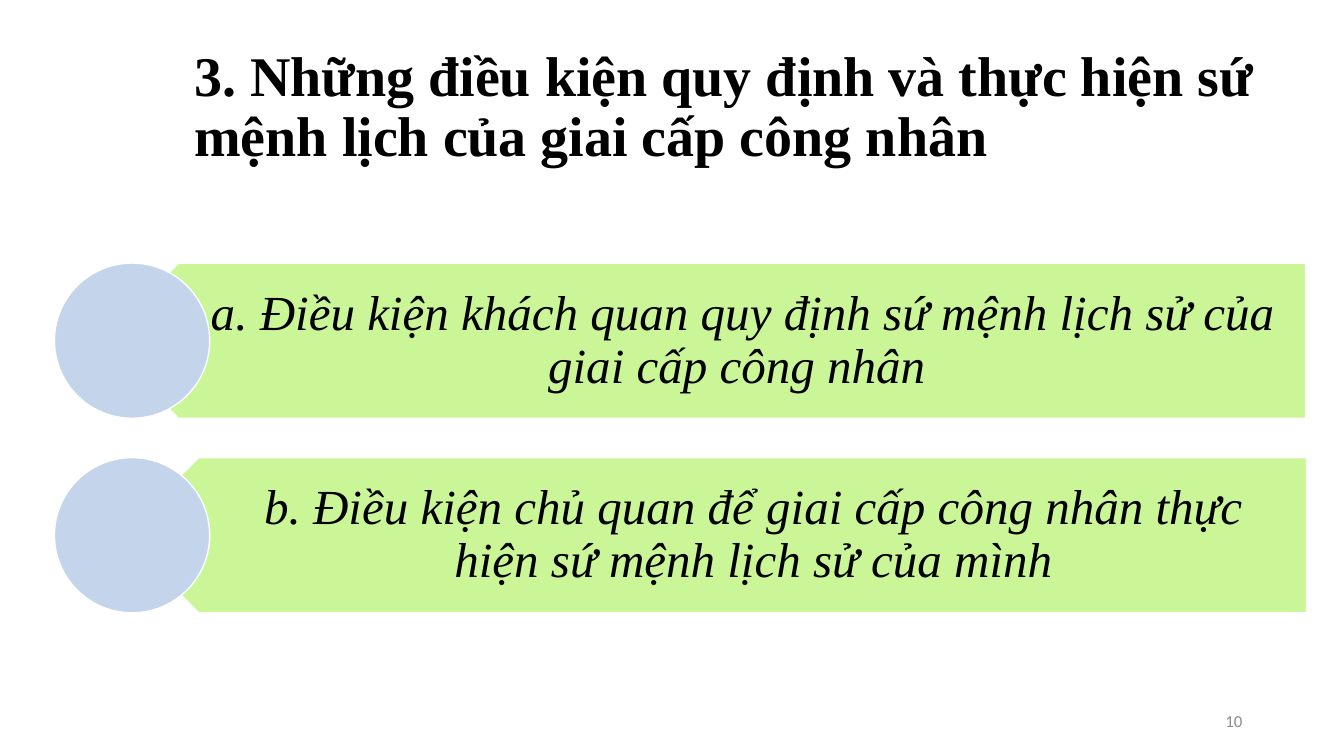
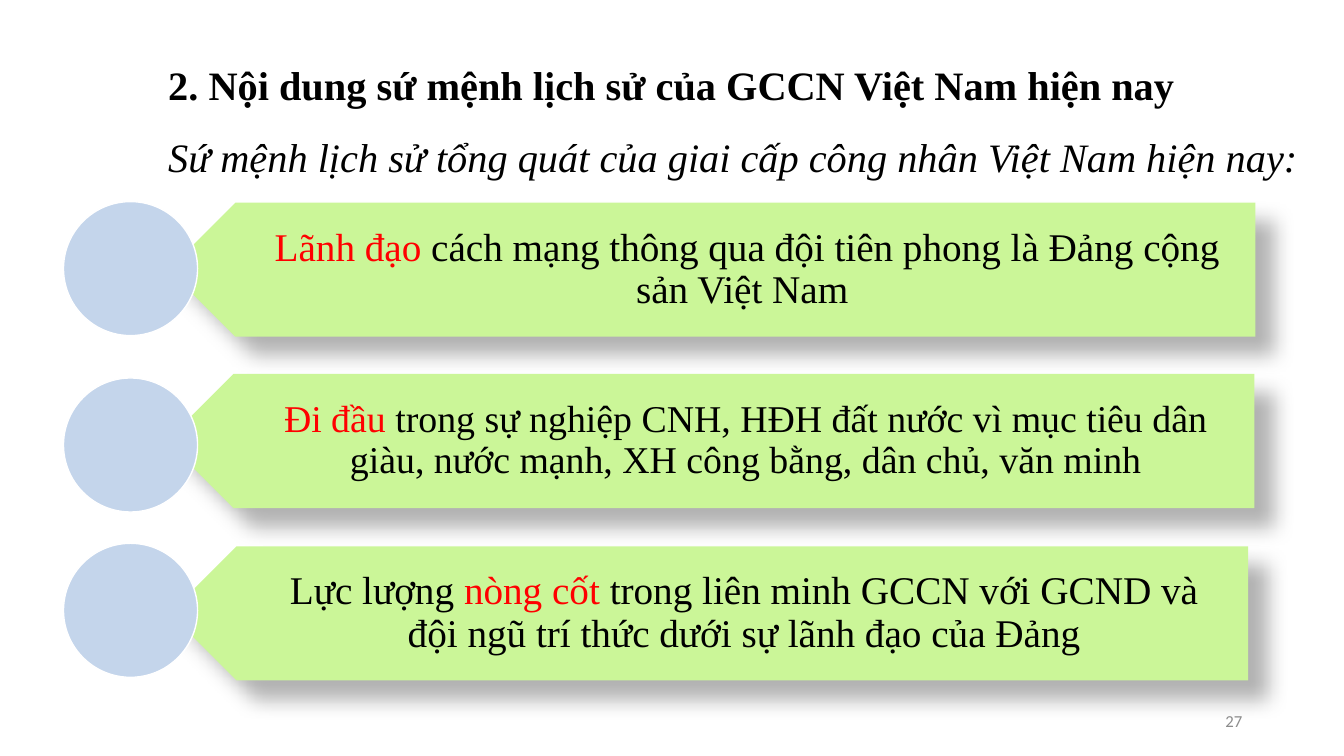
from dataclasses import dataclass

from lxml.etree import SubElement
from pptx import Presentation
from pptx.dml.color import RGBColor
from pptx.enum.shapes import MSO_SHAPE as Shape
from pptx.enum.text import MSO_ANCHOR as Anchor, PP_ALIGN as Align
from pptx.oxml.ns import qn
from pptx.util import Pt

PX = 9144  # EMU in one px: 100 px to the inch


@dataclass(frozen=True)
class Theme:
    serif: str = "Times New Roman"
    sans: str = "Calibri"
    ink: str = "000000"
    accent: str = "FF0000"
    banner: str = "CBF698"
    circle: str = "C4D5EB"
    outline: str = "FFFFFF"
    muted: str = "8C8C8C"
    number_size: int = 12


THEME = Theme()
INK, ACCENT = THEME.ink, THEME.accent

# Content: title lines are (text, bold, italic);
# banners are (left, top, width, circle top, text size, [(text, colour)])
SLIDES = [
    {
        "number": "10",
        "title_box": (183, 35, 1150, 145), "title_size": 40, "title_spacing": 0.9,
        "title": [("3. Những điều kiện quy định và thực hiện sứ mệnh lịch của "
                   "giai cấp công nhân", True, False)],
        "circle_left": 54, "height": 154, "insets": (68, 15, 27, 15),
        "italic": True, "shadow": False,
        "banners": [
            (100, 261, 1195, 261, 35,
             [("a. Điều kiện khách quan quy định sứ mệnh lịch sử của "
               "giai cấp công nhân ", INK)]),
            (120, 454, 1176, 454, 35,
             [("b. Điều kiện chủ quan để giai cấp công nhân thực hiện "
               "sứ mệnh lịch sử của mình", INK)]),
        ],
    },
    {
        "number": "27",
        "title_box": (157, 35, 1204, 145), "title_size": 28.8, "title_spacing": 1.5,
        "title": [("2. Nội dung sứ mệnh lịch sử của GCCN Việt Nam hiện nay", True, False),
                  ("Sứ mệnh lịch sử tổng quát của giai cấp công nhân Việt Nam "
                   "hiện nay:", False, True)],
        "circle_left": 63, "height": 133, "insets": (59, 12, 22, 12),
        "italic": False, "shadow": True,
        "banners": [
            (167, 201, 1078, 200, 28,
             [("Lãnh đạo ", ACCENT),
              ("cách mạng thông qua đội tiên phong là Đảng cộng sản Việt Nam ", INK)]),
            (165, 371, 1079, 375, 27,
             [("Đi đầu ", ACCENT),
              ("trong sự nghiệp CNH, HĐH đất nước vì mục tiêu dân giàu, nước mạnh, "
               "XH công bằng, dân chủ, văn minh", INK)]),
            (168, 542, 1070, 539, 28,
             [("Lực lượng ", INK), ("nòng cốt ", ACCENT),
              ("trong liên minh GCCN với GCND và đội ngũ trí thức dưới sự "
               "lãnh đạo của Đảng", INK)]),
        ],
    },
]


def emu(*lengths):
    return [length * PX for length in lengths]


def add_text_box(page, area, insets=(10, 5, 10, 5), align=Align.LEFT, spacing=1.0):
    """Add a wrapped, vertically centred box and return its paragraph."""
    frame = page.shapes.add_textbox(*emu(*area)).text_frame
    frame.word_wrap = True
    frame.vertical_anchor = Anchor.MIDDLE
    (frame.margin_left, frame.margin_top,
     frame.margin_right, frame.margin_bottom) = emu(*insets)
    para = frame.paragraphs[0]
    para.alignment = align
    para.line_spacing = spacing
    return para


def add_span(para, text, size, colour=INK, face=THEME.serif, bold=False, italic=False):
    span = para.add_run()
    span.text = text
    font = span.font
    font.name, font.size, font.bold, font.italic = face, Pt(size), bold, italic
    font.color.rgb = RGBColor.from_string(colour)


def add_figure(page, kind, area, fill, outlined=True):
    figure = page.shapes.add_shape(kind, *emu(*area))
    figure.shadow.inherit = False
    figure.fill.solid()
    figure.fill.fore_color.rgb = RGBColor.from_string(fill)
    if outlined:
        figure.line.color.rgb = RGBColor.from_string(THEME.outline)
        figure.line.width = Pt(1)
    else:
        figure.line.fill.background()
    return figure


def add_soft_shadow(figure):
    effects = figure.element.spPr.find(qn("a:effectLst"))
    shadow = SubElement(effects, qn("a:outerShdw"), blurRad=str(Pt(15)),
                        dist=str(Pt(18)), dir="2700000", rotWithShape="0")
    colour = SubElement(shadow, qn("a:srgbClr"), val=INK)
    SubElement(colour, qn("a:alpha"), val="30000")


def add_banner(page, content, banner):
    left, top, width, circle_top, size, spans = banner
    height = content["height"]

    # Pentagon pointing left
    arrow = add_figure(page, Shape.PENTAGON, (left, top, width, height),
                       THEME.banner, outlined=not content["shadow"])
    arrow.rotation = 180
    if content["shadow"]:
        add_soft_shadow(arrow)

    # Text starts halfway along the point
    indent = round(height / 4)
    para = add_text_box(page, (left + indent, top, width - indent, height),
                        content["insets"], Align.CENTER, 0.9)
    for text, colour in spans:
        add_span(para, text, size, colour, italic=content["italic"])

    # Circle over the point
    add_figure(page, Shape.OVAL, (content["circle_left"], circle_top, height, height),
               THEME.circle)


def add_title(page, content):
    para = add_text_box(page, content["title_box"], spacing=content["title_spacing"])
    for index, (text, bold, italic) in enumerate(content["title"]):
        if index:
            para.add_line_break()
        add_span(para, text, content["title_size"], bold=bold, italic=italic)


def add_page_number(page, number):
    para = add_text_box(page, (942, 695, 300, 40), align=Align.RIGHT)
    add_span(para, number, THEME.number_size, THEME.muted, THEME.sans)


def main():
    deck = Presentation()
    deck.slide_width, deck.slide_height = emu(1333, 750)
    for content in SLIDES:
        page = deck.slides.add_slide(deck.slide_layouts[6])
        add_title(page, content)
        for banner in content["banners"]:
            add_banner(page, content, banner)
        add_page_number(page, content["number"])
    deck.save("out.pptx")


if __name__ == "__main__":
    main()
